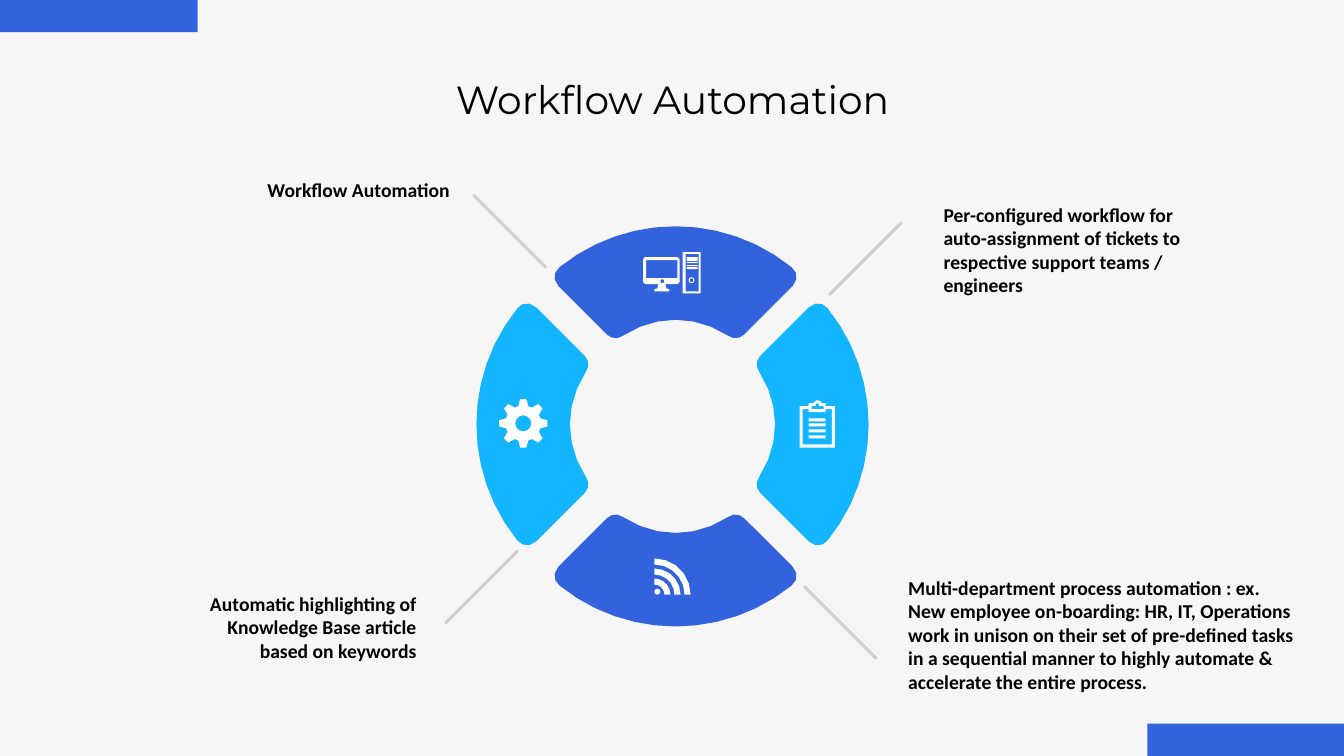
import math

from lxml import etree
from pptx import Presentation
from pptx.dml.color import RGBColor
from pptx.enum import shapes, text
from pptx.oxml.ns import qn
from pptx.util import Inches, Pt

COLORS = {
    "background": "F6F6F6", "blue": "3362DD", "sky": "13B5FF",
    "line": "D0CECE", "icon": "FFFFFF", "text": "000000",
}


def arc(cx, cy, radius, start=0, stop=315, steps=7):
    """Points along an arc, by default a whole circle in eight points."""
    angles = [math.radians(start + (stop - start) * i / steps) for i in range(steps + 1)]
    return [(cx + radius * math.cos(a), cy + radius * math.sin(a)) for a in angles]


def draw_outline(contours, color):
    """Fill closed contours as one shape; a contour inside another is a hole."""
    contours = [[(Inches(x), Inches(y)) for x, y in contour] for contour in contours]
    builder = page.shapes.build_freeform(*contours[0][0])
    builder.add_line_segments(contours[0][1:], close=True)
    for contour in contours[1:]:
        builder.move_to(*contour[0])
        builder.add_line_segments(contour[1:], close=True)
    shape = builder.convert_to_shape()
    shape.shadow.inherit = False
    shape.fill.solid()
    shape.fill.fore_color.rgb = RGBColor.from_string(COLORS[color])
    shape.line.fill.background()


deck = Presentation()
deck.slide_width = Inches(13.33)
deck.slide_height = Inches(7.5)
page = deck.slides.add_slide(deck.slide_layouts[6])
page.background.fill.solid()
page.background.fill.fore_color.rgb = RGBColor.from_string(COLORS["background"])

# Corner bars
for left, top in [(0, 0), (11.38, 7.18)]:
    bar = page.shapes.add_shape(
        shapes.MSO_SHAPE.RECTANGLE, Inches(left), Inches(top), Inches(1.96), Inches(0.32))
    bar.shadow.inherit = False
    bar.fill.solid()
    bar.fill.fore_color.rgb = RGBColor.from_string(COLORS["blue"])
    bar.line.fill.background()

# Ring: the right-hand segment as Bezier curves with step counts, turned by quarters
SEGMENT_CURVES = [
    (3, [(1.35, 1.16), (1.41, 1.22), (1.5, 1.21), (1.54, 1.15)]),
    (12, [(1.54, 1.15), (2.08, 0.48), (2.08, -0.48), (1.54, -1.15)]),
    (3, [(1.54, -1.15), (1.5, -1.21), (1.41, -1.22), (1.35, -1.16)]),
    (3, [(0.87, -0.68), (0.83, -0.64), (0.82, -0.57), (0.86, -0.52)]),
    (6, [(0.86, -0.52), (1.07, -0.2), (1.07, 0.2), (0.86, 0.52)]),
    (3, [(0.86, 0.52), (0.82, 0.57), (0.83, 0.64), (0.87, 0.68)]),
]
segment = []
for steps, curve in SEGMENT_CURVES:
    for step in range(steps + 1):
        t = step / steps
        weights = [(1 - t) ** 3, 3 * t * (1 - t) ** 2, 3 * t * t * (1 - t), t ** 3]
        point = tuple(sum(w * p[axis] for w, p in zip(weights, curve)) for axis in (0, 1))
        if point not in segment:
            segment.append(point)

SEGMENT_ORIGINS = [
    (6.67, 4.21, "sky"), (6.7, 4.27, "blue"), (6.67, 4.21, "sky"), (6.7, 4.19, "blue"),
]
for cx, cy, color in SEGMENT_ORIGINS:
    draw_outline([[(cx + x, cy + y) for x, y in segment]], color)
    segment = [(-y, x) for x, y in segment]

# Pointer lines
POINTER_SPAN = 0.71
for left, top, rising in [(8.23, 2.21, True), (4.42, 5.47, True),
                          (7.98, 5.82, False), (4.7, 1.94, False)]:
    start_y, end_y = top, top + POINTER_SPAN
    if rising:
        start_y, end_y = end_y, start_y
    pointer = page.shapes.add_connector(
        shapes.MSO_CONNECTOR.STRAIGHT, Inches(left), Inches(start_y),
        Inches(left + POINTER_SPAN), Inches(end_y))
    pointer.line.color.rgb = RGBColor.from_string(COLORS["line"])
    pointer.line.width = Pt(2.25)
    pointer.line._get_or_add_ln().set("cap", "rnd")
    etree.SubElement(pointer._element.spPr, qn("a:effectLst"))

# Icons
monitor = [
    (6.38, 2.57), (6.4, 2.55), (6.72, 2.55), (6.74, 2.57), (6.74, 2.8), (6.72, 2.82),
    (6.6, 2.82), (6.61, 2.86), (6.64, 2.87), (6.64, 2.89), (6.49, 2.89), (6.49, 2.87),
    (6.52, 2.86), (6.53, 2.82), (6.4, 2.82), (6.38, 2.8),
]
computer_boxes = [
    (6.41, 2.58, 6.72, 2.76), (6.77, 2.5, 6.95, 2.91), (6.8, 2.52, 6.93, 2.89),
    (6.81, 2.55, 6.92, 2.59), (6.81, 2.6, 6.92, 2.61), (6.81, 2.63, 6.92, 2.64),
    (6.81, 2.65, 6.92, 2.67),
]
computer_buttons = [arc(6.57, 2.79, 0.02), arc(6.86, 2.78, 0.03), arc(6.86, 2.78, 0.02)]
board = [(7.93, 4.44), (7.93, 4.03), (8.02, 4.03), (8.02, 4), (8.07, 4),
         *arc(8.11, 4.01, 0.04, 210, 330, 3),
         (8.15, 4), (8.19, 4), (8.19, 4.03), (8.28, 4.03), (8.28, 4.44)]
sheet = [(8.19, 4.06), (8.19, 4.09), (8.02, 4.09), (8.02, 4.06),
         (7.96, 4.06), (7.96, 4.41), (8.25, 4.41), (8.25, 4.06)]
clip = [(8.05, 4.06), (8.17, 4.06), (8.17, 4.03), (8.12, 4.03),
        (8.12, 4.01), (8.11, 4), (8.09, 4.01), (8.09, 4.03), (8.05, 4.03)]
sheet_lines = [(8.02, y, 8.19, y + 0.03) for y in (4.15, 4.2, 4.26, 4.32)]

for outlines, boxes in [([monitor, *computer_buttons], computer_boxes),
                        ([board, sheet, clip], sheet_lines)]:
    rectangles = [[(l, t), (r, t), (r, b), (l, b)] for l, t, r, b in boxes]
    draw_outline(outlines + rectangles, "icon")

feed_waves = [arc(6.49, 5.9, inner, -90, 0, 5) + arc(6.49, 5.9, inner + 0.06, 0, -90, 5)
              for inner in (0.1, 0.2, 0.3)]
draw_outline([arc(6.52, 5.87, 0.03), *feed_waves], "icon")

gear = []
for tooth in range(8):
    turn = math.radians(45 * tooth)
    for x, y in [(0.17, -0.05), (0.24, -0.03), (0.24, 0.03), (0.17, 0.05)]:
        gear.append((5.19 + x * math.cos(turn) - y * math.sin(turn),
                     4.2 + x * math.sin(turn) + y * math.cos(turn)))
draw_outline([gear, arc(5.19, 4.2, 0.08, 0, 330, 11)], "icon")

# Title and labels
LEFT, CENTER, RIGHT = text.PP_ALIGN.LEFT, text.PP_ALIGN.CENTER, text.PP_ALIGN.RIGHT
TEXTS = [
    (2.72, 0.7, 7.9, 0.57, CENTER, "Montserrat", 28, "Workflow Automation"),
    (9.26, 1.96, 2.93, 1.04, LEFT, "Calibri", 14,
     "Per-configured workflow for auto-assignment of tickets to "
     "respective support teams / engineers"),
    (2, 1.72, 2.56, 0.34, RIGHT, "Calibri", 14, "Workflow Automation"),
    (1.67, 5.82, 2.56, 1.04, RIGHT, "Calibri", 14,
     "Automatic highlighting of Knowledge Base article based on keywords"),
    (8.91, 5.66, 4.06, 1.51, LEFT, "Calibri", 14,
     "Multi-department process automation : ex. New employee on-boarding: HR, IT, "
     "Operations work in unison on their set of pre-defined tasks in a sequential "
     "manner to highly automate & accelerate the entire process."),
]
for left, top, width, height, align, font, size, words in TEXTS:
    box = page.shapes.add_textbox(Inches(left), Inches(top), Inches(width), Inches(height))
    box.text_frame.word_wrap = True
    box.text_frame.text = words
    para = box.text_frame.paragraphs[0]
    para.alignment = align
    span = para.runs[0]
    span.font.name = font
    span.font.size = Pt(size)
    span.font.bold = font == "Calibri"
    span.font.color.rgb = RGBColor.from_string(COLORS["text"])

deck.save("out.pptx")
